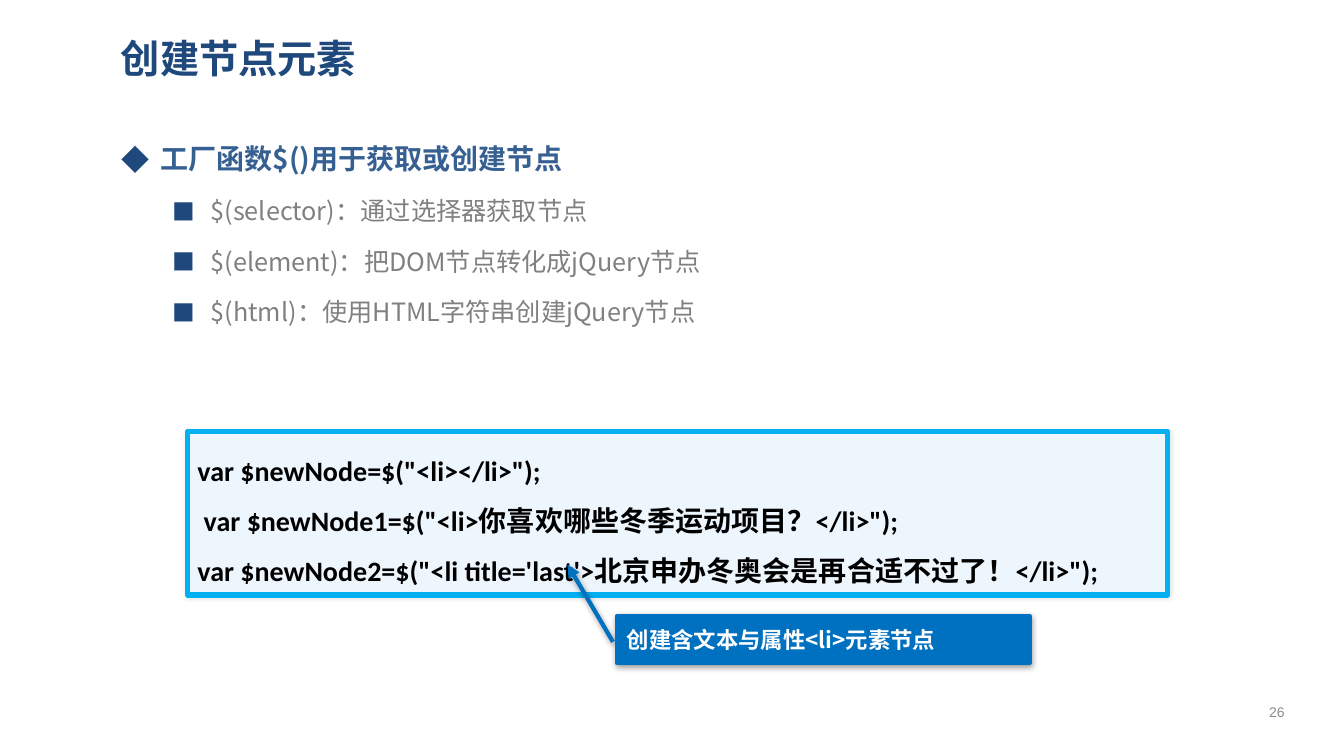
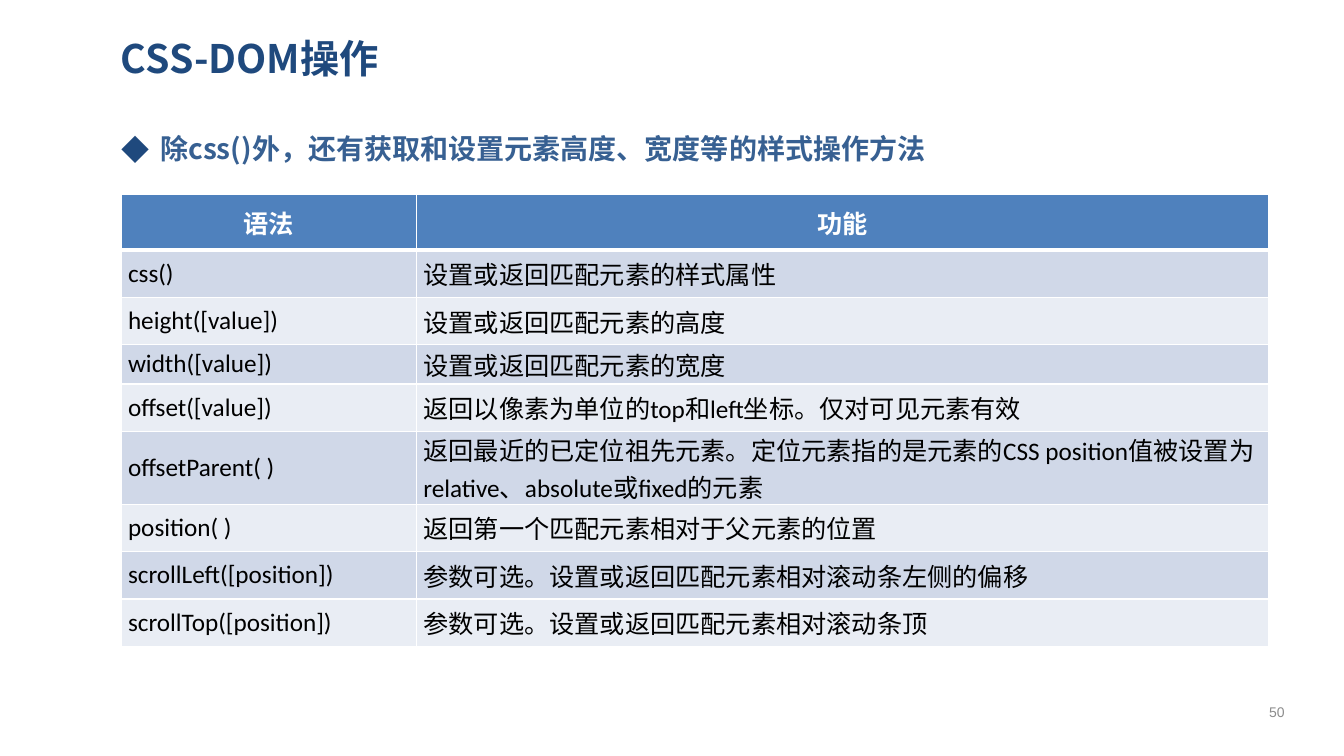
"""Builds two lecture slides on creating nodes and on CSS-DOM methods."""
from lxml.etree import SubElement
from pptx import Presentation
from pptx.dml.color import RGBColor
from pptx.enum.shapes import MSO_SHAPE
from pptx.enum.text import MSO_ANCHOR, MSO_AUTO_SIZE, PP_ALIGN
from pptx.oxml.ns import qn
from pptx.util import Inches, Pt

COLORS = {
    "navy": "1F497D", "heading": "376092", "grey": "808080", "number": "8C8C8C",
    "white": "FFFFFF", "black": "000000", "code_fill": "EDF5FD", "code_line": "00B0F0",
    "callout": "0070C0", "header": "4F81BD", "odd": "D0D8E8", "even": "E9EDF4",
}
CJK = "Noto Sans CJK SC"
LATIN = "Calibri"
BULLETS = [
    {"char": "◆", "left": 0.38, "scale": 100, "size": 20, "color": "heading", "bold": True},
    {"char": "■", "left": 0.88, "scale": 90, "size": 18, "color": "grey", "bold": False},
]
HANGING = 0.38

FACTORY = {
    "title": "创建节点元素",
    "number": "26",
    "spacing": 1.5,
    "points": [
        (0, "工厂函数$()用于获取或创建节点"),
        (1, "$(selector)：通过选择器获取节点"),
        (1, "$(element)：把DOM节点转化成jQuery节点"),
        (1, "$(html)：使用HTML字符串创建jQuery节点"),
    ],
}
CODE = [
    'var $newNode=$("<li></li>");',
    ' var $newNode1=$("<li>你喜欢哪些冬季运动项目？</li>");',
    "var $newNode2=$(\"<li title='last'>北京申办冬奥会是再合适不过了！</li>\");",
]
CALLOUT = "创建含文本与属性<li>元素节点"
CALLOUT_POINTER = (-1.08, -0.12, 0.55, -0.01)

CSS_DOM = {
    "title": "CSS-DOM操作",
    "number": "50",
    "spacing": 1.2,
    "points": [(0, "除css()外，还有获取和设置元素高度、宽度等的样式操作方法")],
}
METHODS = [
    ("语法", "功能"),
    ("css()", "设置或返回匹配元素的样式属性"),
    ("height([value])", "设置或返回匹配元素的高度"),
    ("width([value])", "设置或返回匹配元素的宽度"),
    ("offset([value])", "返回以像素为单位的top和left坐标。仅对可见元素有效"),
    ("offsetParent( )", "返回最近的已定位祖先元素。定位元素指的是元素的CSS position值"
                        "被设置为relative、absolute或fixed的元素"),
    ("position( )", "返回第一个匹配元素相对于父元素的位置"),
    ("scrollLeft([position])", "参数可选。设置或返回匹配元素相对滚动条左侧的偏移"),
    ("scrollTop([position])", "参数可选。设置或返回匹配元素相对滚动条顶"),
]
COLUMN_WIDTHS = (2.93, 8.45)
ROW_HEIGHT = 0.47
SPECIAL_HEIGHTS = {0: 0.55, 3: 0.39, 5: 0.72}


def rgb(name):
    return RGBColor.from_string(COLORS[name])


def add_xml(parent, tag, **attributes):
    return SubElement(parent, qn(f"a:{tag}"), {key: str(value) for key, value in attributes.items()})


def style(paragraph, size, color, bold=False, font=CJK, align=PP_ALIGN.LEFT):
    paragraph.alignment = align
    for run in paragraph.runs:
        run.font.size = Pt(size)
        run.font.bold = bold
        run.font.name = font
        run.font.color.rgb = rgb(color)
        add_xml(run.font._element, "ea", typeface=CJK)


def place(shape, left, top, width, height):
    shape.left, shape.top = Inches(left), Inches(top)
    shape.width, shape.height = Inches(width), Inches(height)


def frame_of(shape, anchor=MSO_ANCHOR.TOP, fit=MSO_AUTO_SIZE.NONE):
    frame = shape.text_frame
    frame.word_wrap = True
    frame.auto_size = fit
    frame.vertical_anchor = anchor
    return frame


def add_bullet(paragraph, bullet):
    properties = paragraph._p.get_or_add_pPr()
    properties.set("marL", str(Inches(bullet["left"])))
    properties.set("indent", str(-Inches(HANGING)))
    add_xml(add_xml(properties, "buClr"), "srgbClr", val=COLORS["navy"])
    add_xml(properties, "buSzPct", val=bullet["scale"] * 1000)
    add_xml(properties, "buFont", typeface=CJK)
    add_xml(properties, "buChar", char=bullet["char"])


def add_page(deck, content):
    slide = deck.slides.add_slide(deck.slide_layouts[1])
    title, body = slide.placeholders
    place(title, 1.1, 0.24, 11.65, 0.67)
    heading = frame_of(title, MSO_ANCHOR.MIDDLE)
    heading.text = content["title"]
    style(heading.paragraphs[0], 28, "navy", True)

    place(body, 1.11, 1.19, 11.65, 5.68)
    points = frame_of(body)
    points.text = "\n".join(text for _, text in content["points"])
    for paragraph, (level, _) in zip(points.paragraphs, content["points"]):
        bullet = BULLETS[level]
        paragraph.level = level
        paragraph.line_spacing = content["spacing"]
        style(paragraph, bullet["size"], bullet["color"], bullet["bold"])
        add_bullet(paragraph, bullet)

    page_number = slide.shapes.add_textbox(*map(Inches, (12.34, 6.86, 0.65, 0.4)))
    footer = frame_of(page_number, MSO_ANCHOR.MIDDLE)
    footer.text = content["number"]
    style(footer.paragraphs[0], 10, "number", font="Arial", align=PP_ALIGN.CENTER)
    return slide


def add_panel(slide, kind, box, fill, line, line_width, shadow):
    panel = slide.shapes.add_shape(kind, *map(Inches, box))
    panel.fill.solid()
    panel.fill.fore_color.rgb = rgb(fill)
    panel.line.color.rgb = rgb(line)
    panel.line.width = Pt(line_width)
    panel.shadow.inherit = False
    opacity, blur, distance, angle = shadow
    effects = panel._element.spPr.find(qn("a:effectLst"))
    cast = add_xml(effects, "outerShdw", blurRad=Pt(blur), dist=Pt(distance),
                   dir=angle * 60000, algn="ctr", rotWithShape=0)
    add_xml(add_xml(cast, "srgbClr", val=COLORS["black"]), "alpha", val=opacity * 1000)
    return panel


def add_code(slide):
    code = add_panel(slide, MSO_SHAPE.ROUNDED_RECTANGLE, (1.86, 4.28, 9.72, 1.62),
                     "code_fill", "code_line", 4, (10, 3, 0, 0))
    code.adjustments[0] = 0
    listing = frame_of(code, fit=MSO_AUTO_SIZE.SHAPE_TO_FIT_TEXT)
    listing.text = "\n".join(CODE)
    for paragraph in listing.paragraphs:
        paragraph.line_spacing = 1.5
        style(paragraph, 20, "black", True, LATIN)


def add_callout(slide):
    callout = add_panel(slide, MSO_SHAPE.LINE_CALLOUT_1, (6.12, 6.11, 4.09, 0.47),
                        "callout", "callout", 3, (40, 4, 1, 90))
    for index, share in enumerate(CALLOUT_POINTER):
        callout.adjustments[index] = share
    add_xml(callout.line._get_or_add_ln(), "headEnd", type="triangle")
    label = frame_of(callout, MSO_ANCHOR.MIDDLE)
    label.text = CALLOUT
    style(label.paragraphs[0], 16, "white", True)


def format_cell(cell, row):
    header = row == 0
    cell.vertical_anchor = MSO_ANCHOR.MIDDLE
    cell.margin_left = cell.margin_right = Inches(0.07)
    cell.margin_top = cell.margin_bottom = 0
    properties = cell._tc.get_or_add_tcPr()
    for side in "LRTB":
        thick = (header and side == "B") or (row == 1 and side == "T")
        border = add_xml(properties, f"ln{side}", w=Pt(3 if thick else 1))
        add_xml(add_xml(border, "solidFill"), "srgbClr", val=COLORS["white"])
    cell.fill.solid()
    cell.fill.fore_color.rgb = rgb("header" if header else "odd" if row % 2 else "even")
    style(cell.text_frame.paragraphs[0], 18, "white" if header else "black", header, LATIN,
          PP_ALIGN.CENTER if header else PP_ALIGN.LEFT)


def add_methods(slide):
    heights = [SPECIAL_HEIGHTS.get(row, ROW_HEIGHT) for row in range(len(METHODS))]
    box = (1.2, 1.93, sum(COLUMN_WIDTHS), sum(heights))
    table = slide.shapes.add_table(len(METHODS), len(COLUMN_WIDTHS), *map(Inches, box)).table
    for column, width in zip(table.columns, COLUMN_WIDTHS):
        column.width = Inches(width)
    for row, (texts, height) in enumerate(zip(METHODS, heights)):
        table.rows[row].height = Inches(height)
        for column, text in enumerate(texts):
            cell = table.cell(row, column)
            cell.text_frame.text = text
            format_cell(cell, row)


def main():
    deck = Presentation()
    deck.slide_width, deck.slide_height = Inches(13.33), Inches(7.5)
    factory = add_page(deck, FACTORY)
    add_code(factory)
    add_callout(factory)
    add_methods(add_page(deck, CSS_DOM))
    deck.save("out.pptx")


if __name__ == "__main__":
    main()
